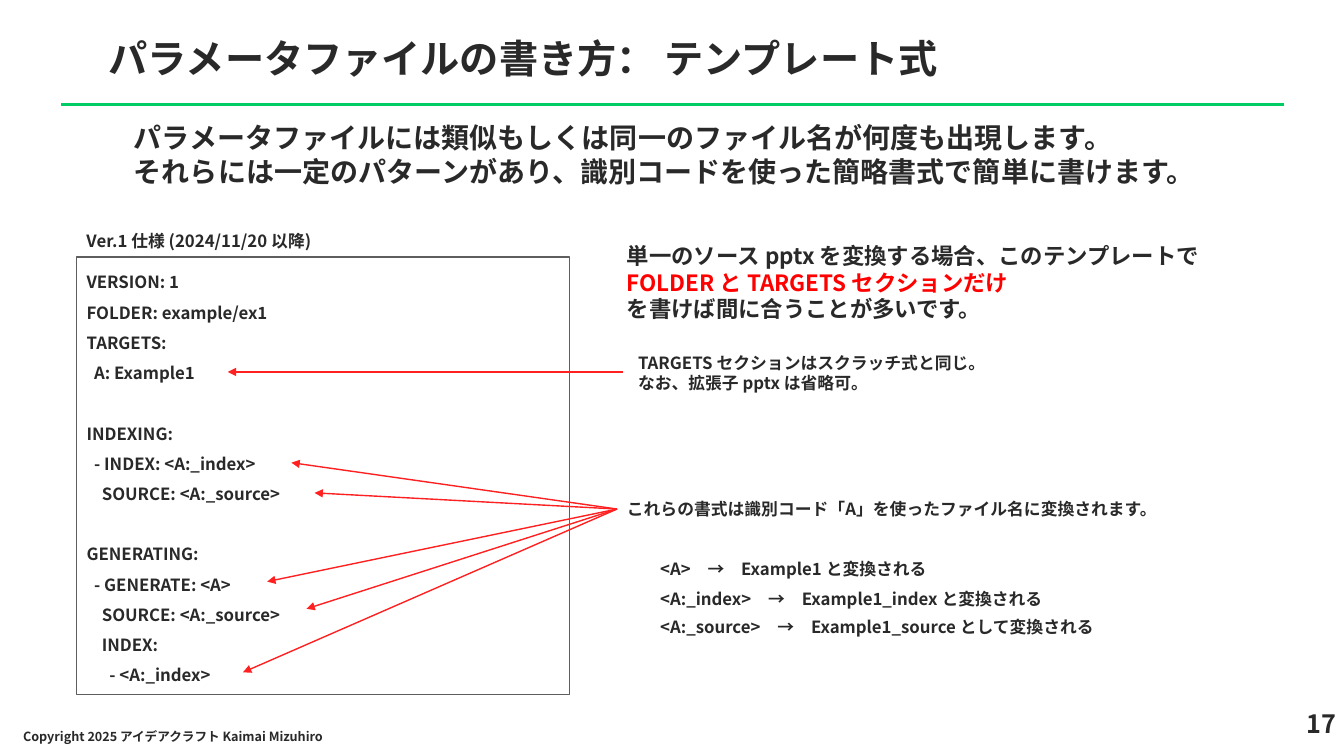
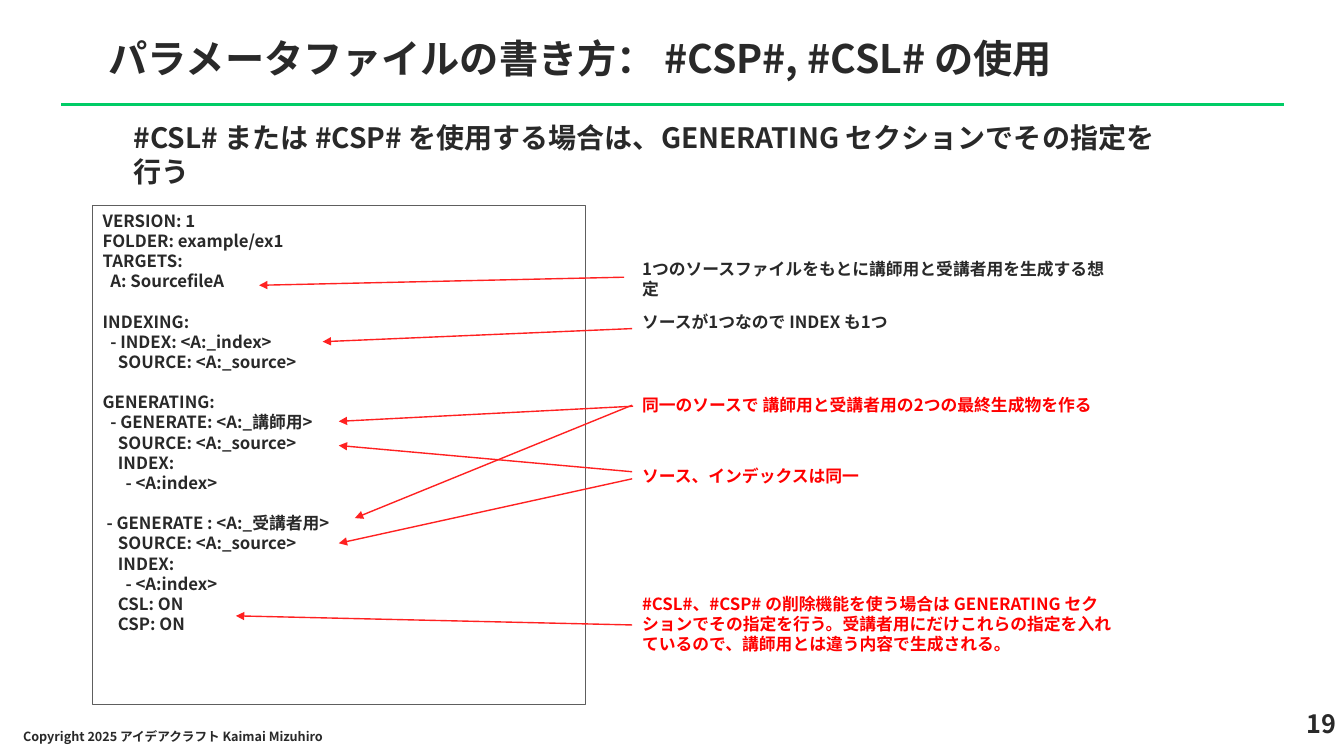
"""Build two slides on how to write a parameter file."""
from lxml.etree import SubElement
from pptx import Presentation
from pptx.dml.color import RGBColor
from pptx.enum.shapes import MSO_CONNECTOR, MSO_SHAPE
from pptx.enum.text import MSO_ANCHOR, PP_ALIGN
from pptx.oxml.ns import qn
from pptx.util import Inches, Pt

FONT = "Noto Sans CJK JP"
INK = RGBColor(0x29, 0x29, 0x29)
RED = RGBColor(0xFF, 0x00, 0x00)
ARROW = RGBColor(0xFF, 0x21, 0x21)
GREEN = RGBColor(0x00, 0xCC, 0x66)
GREY = RGBColor(0x5E, 0x5E, 0x5E)
WHITE = RGBColor(0xFF, 0xFF, 0xFF)


def write(slide, area, text, size=12, color=INK, align=PP_ALIGN.LEFT, space=None, frame=False):
    """Put text on the slide, in a framed box or a plain one."""
    spot = [Inches(n) for n in area]
    if frame:
        box = slide.shapes.add_shape(MSO_SHAPE.RECTANGLE, *spot)
        box.shadow.inherit = False
        box.fill.solid()
        box.fill.fore_color.rgb = WHITE
        box.line.color.rgb = GREY
        box.line.width = Pt(1)
    else:
        box = slide.shapes.add_textbox(*spot)
    body = box.text_frame
    body.word_wrap = True
    body.vertical_anchor = MSO_ANCHOR.TOP
    body.text = text
    for para in body.paragraphs:
        para.alignment = align
        para.line_spacing = space
        para.font.size = Pt(size)
        para.font.bold = True
        para.font.name = FONT
        para.font.color.rgb = color
        props = para._p.pPr.find(qn("a:defRPr"))
        SubElement(props, qn("a:ea"), typeface=FONT)
    return body


def draw(slide, start, end, color, width, head=False):
    """Draw a straight line, with an arrowhead at its end if asked."""
    ends = [Inches(n) for n in (*start, *end)]
    line = slide.shapes.add_connector(MSO_CONNECTOR.STRAIGHT, *ends)
    line.line.color.rgb = color
    line.line.width = Pt(width)
    if head:
        SubElement(line.line._get_or_add_ln(), qn("a:tailEnd"), type="triangle")
    SubElement(line._element.spPr, qn("a:effectLst"))


CODE_ONE = """VERSION: 1
FOLDER: example/ex1
TARGETS:
  A: Example1

INDEXING:
  - INDEX: <A:_index>
    SOURCE: <A:_source>

GENERATING:
  - GENERATE: <A>
    SOURCE: <A:_source>
    INDEX:
      - <A:_index>"""

CODE_TWO = """VERSION: 1
FOLDER: example/ex1
TARGETS:
  A: SourcefileA

INDEXING:
  - INDEX: <A:_index>
    SOURCE: <A:_source>

GENERATING:
  - GENERATE: <A:_講師用>
    SOURCE: <A:_source>
    INDEX:
      - <A:index>

 - GENERATE : <A:_受講者用>
    SOURCE: <A:_source>
    INDEX:
      - <A:index>
    CSL: ON
    CSP: ON"""

HUB = (6.12, 5.05)
PAGES = [
    {
        "page": "17",
        "title": "パラメータファイルの書き方： テンプレート式",
        "lead": "パラメータファイルには類似もしくは同一のファイル名が何度も出現します。\n"
                "それらには一定のパターンがあり、識別コードを使った簡略書式で簡単に書けます。",
        "code": CODE_ONE,
        "area": (0.76, 2.55, 4.89, 4.34),
        "space": 1.5,
        "arrows": [
            ((6.18, 3.69), (2.26, 3.69)),
            (HUB, (2.89, 4.59)),
            (HUB, (3.12, 4.89)),
            (HUB, (2.65, 5.77)),
            (HUB, (3.04, 6.04)),
            (HUB, (2.41, 6.67)),
        ],
        "notes": [
            ((0.76, 2.24, 3.54, 0.3), "Ver.1 仕様 (2024/11/20 以降)", INK),
            ((6.23, 3.45, 4.57, 0.5),
             "TARGETS セクションはスクラッチ式と同じ。\nなお、拡張子 pptx は省略可。", INK),
            ((6.12, 4.9, 5.57, 0.3),
             "これらの書式は識別コード「A」を使ったファイル名に変換されます。", INK),
            ((6.45, 5.49, 5.57, 0.3), "<A>　→　Example1 と変換される", INK),
            ((6.45, 5.79, 5.57, 0.3), "<A:_index>　→　Example1_index と変換される", INK),
            ((6.45, 6.07, 5.57, 0.3), "<A:_source>　→　Example1_source として変換される", INK),
        ],
    },
    {
        "page": "19",
        "title": "パラメータファイルの書き方： #CSP#, #CSL# の使用",
        "lead": "#CSL# または #CSP# を使用する場合は、GENERATING セクションでその指定を行う",
        "code": CODE_TWO,
        "area": (0.92, 2.04, 4.89, 4.95),
        "space": None,
        "arrows": [
            ((6.19, 2.75), (2.57, 2.83)),
            ((6.27, 3.26), (3.2, 3.39)),
            ((6.28, 4.03), (3.36, 4.18)),
            ((6.27, 4.02), (3.52, 5.14)),
            ((6.27, 4.68), (3.36, 4.42)),
            ((6.27, 4.75), (3.36, 5.39)),
            ((6.27, 6.2), (2.34, 6.11)),
        ],
        "notes": [
            ((6.27, 2.52, 4.89, 0.3),
             "1つのソースファイルをもとに講師用と受講者用を生成する想定", INK),
            ((6.27, 3.04, 4.57, 0.3), "ソースが1つなので INDEX も1つ", INK),
            ((6.27, 3.87, 4.89, 0.3),
             "同一のソースで 講師用と受講者用の2つの最終生成物を作る", RED),
            ((6.27, 4.57, 4.89, 0.3), "ソース、インデックスは同一", RED),
            ((6.27, 5.84, 4.89, 0.71),
             "#CSL#、#CSP# の削除機能を使う場合は GENERATING セクションでその指定を行う。"
             "受講者用にだけこれらの指定を入れているので、講師用とは違う内容で生成される。", RED),
        ],
    },
]

deck = Presentation()
deck.slide_width = Inches(13.33)
deck.slide_height = Inches(7.5)

for page in PAGES:
    slide = deck.slides.add_slide(deck.slide_layouts[6])
    draw(slide, (0.61, 1.04), (12.73, 1.04), GREEN, 2.25)
    write(slide, (0.98, 0.29, 11.98, 0.63), page["title"], 28)
    foot = write(slide, (0.13, 7.17, 5.52, 0.28), "Copyright 2025 アイデアクラフト Kaimai Mizuhiro", 9)
    foot.vertical_anchor = MSO_ANCHOR.MIDDLE
    write(slide, (11.71, 6.98, 1.64, 0.5), page["page"], 18, align=PP_ALIGN.RIGHT)
    write(slide, (1.23, 1.15, 10.47, 0.77), page["lead"], 20)
    write(slide, page["area"], page["code"], space=page["space"], frame=True)
    for start, end in page["arrows"]:
        draw(slide, start, end, ARROW, 1, head=True)
    for area, text, color in page["notes"]:
        write(slide, area, text, color=color)

tip = write(deck.slides[0], (6.12, 2.35, 5.91, 0.91),
            "単一のソース pptx を変換する場合、このテンプレートで \n"
            "を書けば間に合うことが多いです。", 16)
key = tip.paragraphs[0].add_run()
key.text = "FOLDER と TARGETS セクションだけ"
key.font.color.rgb = RED

deck.save("out.pptx")
